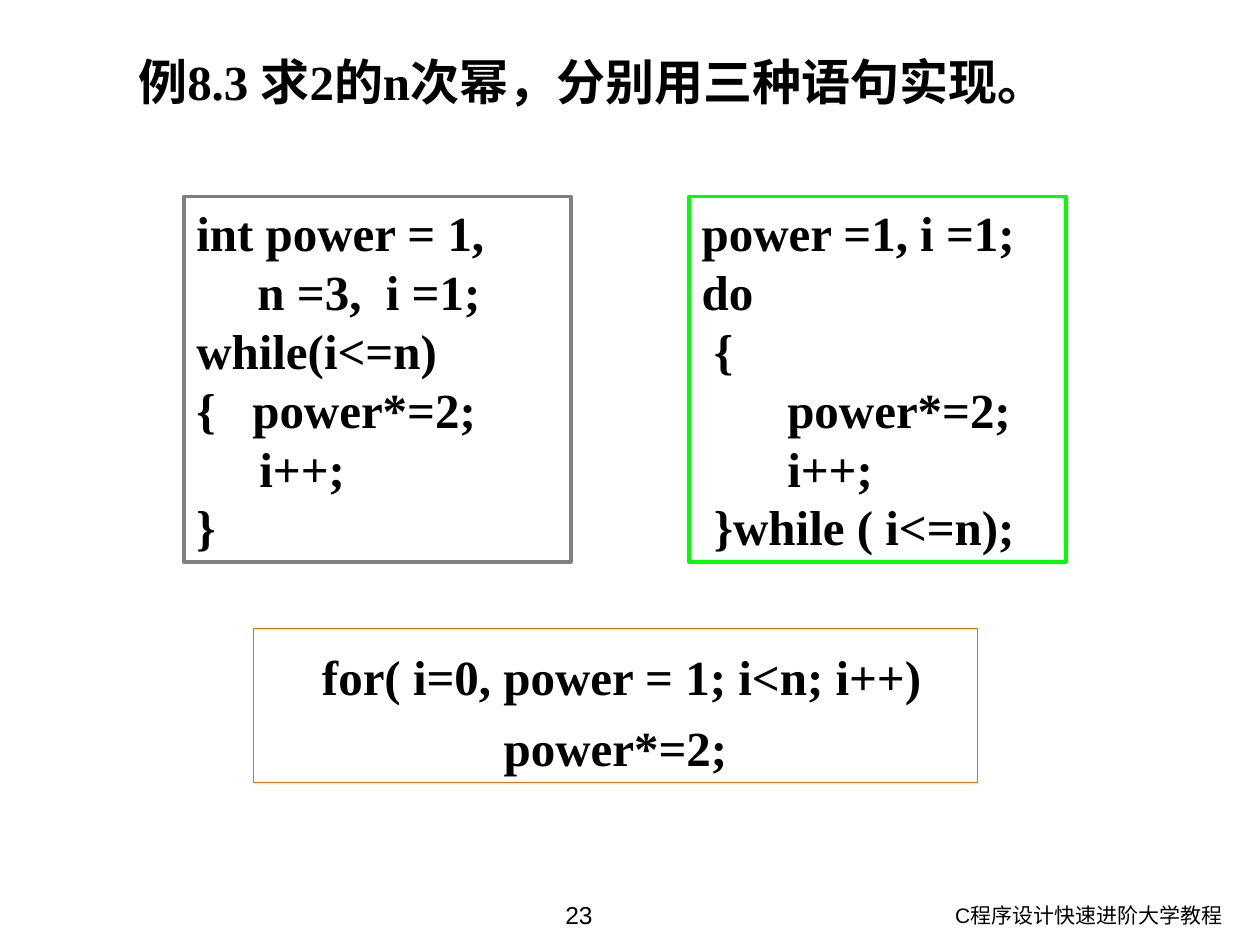
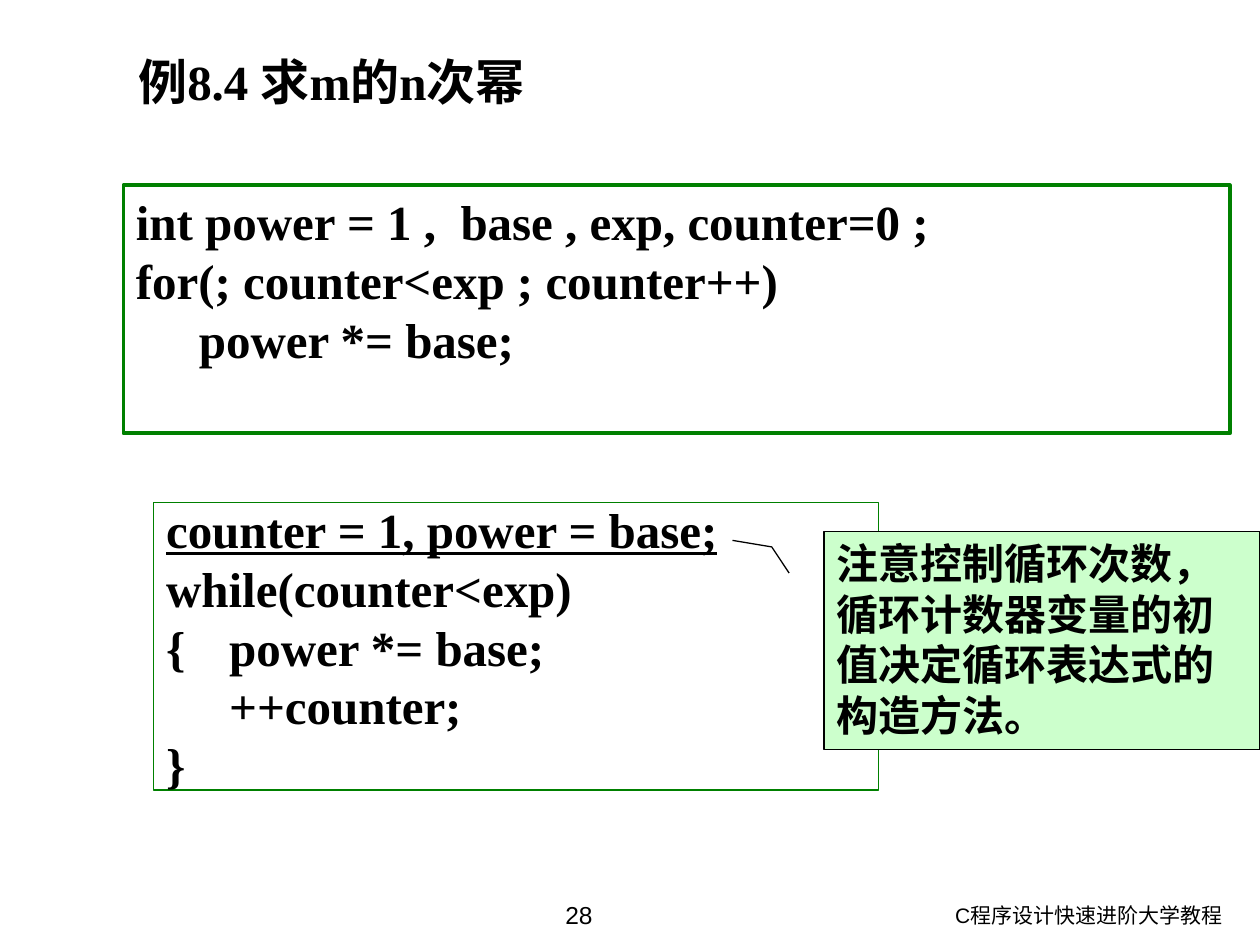
from pptx import Presentation
from pptx import util as u
from pptx.dml import color
from pptx.enum import shapes, text

COLOURS = {
    "ink": "000000",
    "paper": "FFFFFF",
    "grey": "808080",
    "lime": "00FF00",
    "orange": "FF6600",
    "green": "008000",
    "mint": "CCFFCC",
}
SERIF = "Times New Roman"
SANS = "Arial"
COURSE = "C程序设计快速进阶大学教程"
TITLE_BOX = (1, 0.36, 9, 0.7)
NUMBER_BOX = (3.43, 7.09, 2.33, 0.41)
COURSE_BOX = (6.57, 7.11, 3.23, 0.39)
LEFT, CENTER, RIGHT = text.PP_ALIGN.LEFT, text.PP_ALIGN.CENTER, text.PP_ALIGN.RIGHT
TOP, MIDDLE = text.MSO_ANCHOR.TOP, text.MSO_ANCHOR.MIDDLE


def rgb(name):
    return color.RGBColor.from_string(COLOURS[name])


def write_lines(shape, lines, size, font=SERIF, bold=True, align=LEFT,
                anchor=TOP, spacing=None, underlined=()):
    frame = shape.text_frame
    frame.word_wrap = True
    frame.vertical_anchor = anchor
    for index, line in enumerate(lines):
        paragraph = frame.paragraphs[0] if index == 0 else frame.add_paragraph()
        paragraph.alignment = align
        if spacing:
            paragraph.line_spacing = spacing
        run = paragraph.add_run()
        run.text = line
        run.font.name = font
        run.font.size = u.Pt(size)
        run.font.bold = bold
        run.font.underline = index in underlined
        run.font.color.rgb = rgb("ink")


def add_label(slide, box, line, size, **style):
    label = slide.shapes.add_textbox(*map(u.Inches, box))
    write_lines(label, [line], size, **style)


def add_frame(slide, box, line, width=0.75, fill=None,
              kind=shapes.MSO_SHAPE.RECTANGLE):
    shape = slide.shapes.add_shape(kind, *map(u.Inches, box))
    shape.shadow.inherit = False
    shape.line.color.rgb = rgb(line)
    shape.line.width = u.Pt(width)
    if fill:
        shape.fill.solid()
        shape.fill.fore_color.rgb = rgb(fill)
    else:
        shape.fill.background()
    return shape


def add_solid_code(slide, box, line, code):
    write_lines(add_frame(slide, box, line, 2.25, "paper"), code, 28)


def add_open_code(slide, box, line, code, **style):
    write_lines(add_frame(slide, box, line), code, 28, anchor=MIDDLE, **style)


def add_callout(slide, box, line):
    callout = add_frame(slide, box, "ink", fill="mint",
                        kind=shapes.MSO_SHAPE.LINE_CALLOUT_2)
    for index, value in enumerate((0.19, -0.08, 0.07, -0.12, 0.04, -0.21)):
        callout.adjustments[index] = value
    write_lines(callout, [line], 24, font=SANS)


def add_base_slide(presentation, title, number):
    slide = presentation.slides.add_slide(presentation.slide_layouts[6])
    add_label(slide, COURSE_BOX, COURSE, 12, font=SANS, bold=False, align=RIGHT)
    add_label(slide, NUMBER_BOX, str(number), 14, font=SANS, bold=False, align=CENTER)
    add_label(slide, TITLE_BOX, title, 28)
    return slide


def add_power_of_two_slide(presentation):
    slide = add_base_slide(presentation, "例8.3 求2的n次幂，分别用三种语句实现。", 23)
    add_solid_code(slide, (1.46, 1.56, 3.07, 2.9), "grey", [
        "int power = 1,",
        "     n =3,  i =1;",
        "while(i<=n)",
        "{   power*=2;",
        "\ti++;",
        "}",
    ])
    add_solid_code(slide, (5.47, 1.56, 2.99, 2.9), "lime", [
        "power =1, i =1;",
        "do",
        " {",
        "       power*=2;",
        "       i++;",
        " }while ( i<=n);",
    ])
    add_open_code(slide, (2.01, 4.99, 5.75, 1.22), "orange", [
        " for( i=0, power = 1; i<n; i++)",
        "power*=2;",
    ], align=CENTER, spacing=1.2)


def add_general_power_slide(presentation):
    slide = add_base_slide(presentation, "例8.4 求m的n次幂", 28)
    add_solid_code(slide, (0.98, 1.47, 8.78, 1.97), "green", [
        "int power = 1 ,  base , exp, counter=0 ;",
        "for(; counter<exp ; counter++)",
        "\tpower *= base;",
    ])
    add_open_code(slide, (1.22, 3.99, 5.75, 2.28), "green", [
        "counter = 1, power = base;",
        "while(counter<exp)",
        "{\tpower *= base;",
        "  \t++counter;",
        "}",
    ], underlined=(0,))
    add_callout(slide, (6.54, 4.22, 3.46, 1.73),
                "注意控制循环次数，循环计数器变量的初值决定循环表达式的构造方法。")


def main():
    presentation = Presentation()
    presentation.slide_width = u.Inches(10)
    presentation.slide_height = u.Inches(7.5)
    add_power_of_two_slide(presentation)
    add_general_power_slide(presentation)
    presentation.save("out.pptx")


if __name__ == "__main__":
    main()
